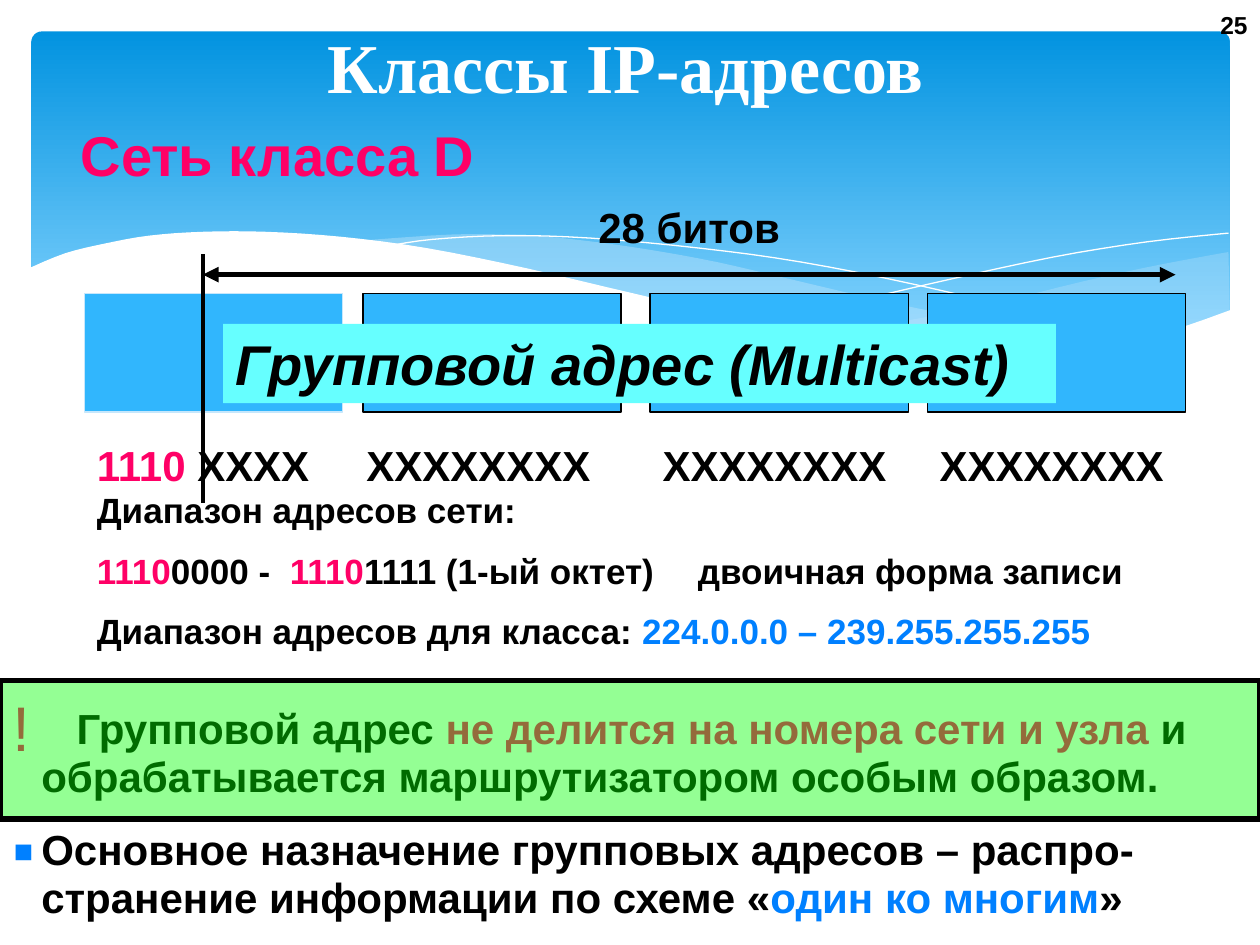
from lxml import etree
from pptx import Presentation
from pptx.dml.color import RGBColor
from pptx.enum.shapes import MSO_CONNECTOR, MSO_SHAPE
from pptx.enum.text import MSO_ANCHOR, PP_ALIGN
from pptx.oxml.ns import qn
from pptx.util import Inches, Pt

RECTANGLE = MSO_SHAPE.RECTANGLE
ROUNDED = MSO_SHAPE.ROUNDED_RECTANGLE
STRAIGHT = MSO_CONNECTOR.STRAIGHT
LEFT, CENTER, RIGHT = PP_ALIGN.LEFT, PP_ALIGN.CENTER, PP_ALIGN.RIGHT
TOP, MIDDLE = MSO_ANCHOR.TOP, MSO_ANCHOR.MIDDLE

BLACK = RGBColor(0x00, 0x00, 0x00)
WHITE = RGBColor(0xFF, 0xFF, 0xFF)
PINK = RGBColor(0xFF, 0x00, 0x66)
BLUE = RGBColor(0x00, 0x80, 0xFF)
SKY = RGBColor(0x31, 0xB6, 0xFD)
PALE = RGBColor(0xC6, 0xE7, 0xFC)
CYAN = RGBColor(0x66, 0xFF, 0xFF)
GREEN = RGBColor(0x00, 0xFF, 0x00)
SKY_TOP = RGBColor(0x02, 0x93, 0xE0)
SKY_BOTTOM = RGBColor(0x83, 0xD3, 0xFE)

COLUMNS, ROWS = 100, 75
CELL = Inches(10) / COLUMNS

WAVE_RIGHT = [[(97.5, 20), (92.1, 21), (86.1, 22.3), (77.9, 24.3), (70.6, 25.7), (66.1, 26.5)],
              [(66.1, 26.5), (71.8, 27.3), (76.9, 27.6), (81.4, 27.8), (86.3, 27.6),
               (90.5, 26.9), (94.2, 25.9), (97.6, 24.7)]]
WAVE_MIDDLE = [[(89.3, 27.3), (83.7, 26.5), (77.5, 25.4), (70.6, 24), (62.9, 22.2), (56.9, 20.8),
                (51.4, 19.8), (46.4, 19.1), (42, 18.7), (36.1, 18.6), (28.6, 19.1)],
               [(28.6, 19.1), (36.2, 20.3), (44.9, 22.2), (53, 24), (60.1, 25.5), (66.5, 26.6),
                (72.2, 27.4), (77.3, 27.8), (81.8, 27.9), (85.7, 27.7), (89.3, 27.3)]]
WAVE_FRONT = [[(97.7, 24.6), (93, 26.2), (87.5, 27.3), (80.9, 27.7), (74.4, 27.4), (66.8, 26.5),
               (57.9, 25), (50.3, 23.3), (41.8, 21.3), (33.9, 19.7), (27.1, 18.8), (21.1, 18.4),
               (16.1, 18.4), (11.9, 18.7), (8.5, 19.3), (5.2, 20.1), (2.3, 21.3)],
              [(2.3, 32.9), (97.7, 32.9)]]
CREST_LEFT = [[(30.9, 19.5), (34.3, 19), (40.1, 18.7), (46.9, 18.9), (55.6, 19.7), (63.6, 20.8),
               (72.7, 22.6), (83.1, 25.1), (90.7, 27.2)]]
CREST_RIGHT = [[(61.3, 25.7), (67.2, 24.1), (74.8, 22.3), (83.6, 20.4), (91, 19.2), (97.5, 18.5)]]


def place(box, x=0, y=0, width=None, height=None):
    width = box[2] if width is None else width
    height = box[3] if height is None else height
    return [round(value * CELL) for value in (box[0] + x, box[1] + y, width, height)]


def paint(shape, fill=None, line=None, width=0.75, alpha=None):
    shape.shadow.inherit = False
    if fill is None:
        shape.fill.background()
    else:
        shape.fill.solid()
        shape.fill.fore_color.rgb = fill
    if alpha:
        color = shape._element.spPr.find(qn("a:solidFill"))[0]
        etree.SubElement(color, qn("a:alpha"), val=str(alpha * 1000))
    if line is None:
        shape.line.fill.background()
    else:
        shape.line.color.rgb = line
        shape.line.width = Pt(width)
    return shape


def add_rectangle(slide, position, **style):
    return paint(slide.shapes.add_shape(RECTANGLE, *position), **style)


def smooth(points, steps=4):
    padded = [points[0], *points, points[-1]]
    curve = [points[0]]
    for a, b, c, d in zip(padded, padded[1:], padded[2:], padded[3:]):
        for step in range(1, steps + 1):
            t = step / steps
            curve.append(tuple(
                (2 * q + (r - p) * t + (2 * p - 5 * q + 4 * r - s) * t ** 2
                 + (3 * q - p - 3 * r + s) * t ** 3) / 2 for p, q, r, s in zip(a, b, c, d)))
    return curve


def add_wave(slide, box, edges, closed=True, **style):
    points = [place(box, *point)[:2] for edge in edges for point in smooth(edge)]
    builder = slide.shapes.build_freeform(*points[0])
    builder.add_line_segments(points[1:], close=closed)
    return paint(builder.convert_to_shape(), **style)


def write(frame, paragraphs, size=24, color=BLACK, font="Arial", align=LEFT, anchor=TOP,
          italic=False, spacing=None, before=0, after=0):
    frame.word_wrap = True
    frame.vertical_anchor = anchor
    for index, runs in enumerate(paragraphs):
        paragraph = frame.paragraphs[0] if index == 0 else frame.add_paragraph()
        paragraph.alignment = align
        paragraph.space_before = Pt(before if index else 0)
        paragraph.space_after = Pt(after)
        if spacing:
            paragraph.line_spacing = spacing
        for text, run_color in [(runs, color)] if isinstance(runs, str) else runs:
            run = paragraph.add_run()
            run.text = text
            run.font.name, run.font.size = font, Pt(size)
            run.font.bold, run.font.italic = True, italic
            run.font.color.rgb = run_color
    return frame


def add_text(slide, position, paragraphs, **style):
    return write(slide.shapes.add_textbox(*position).text_frame, paragraphs, **style)


def add_line(slide, start, end, width, arrows=False):
    connector = slide.shapes.add_connector(STRAIGHT, *start, *end)
    connector.line.color.rgb = BLACK
    connector.line.width = Pt(width)
    if arrows:
        line = connector.line._get_or_add_ln()
        for tag in ("a:headEnd", "a:tailEnd"):
            etree.SubElement(line, qn(tag), type="triangle")
    etree.SubElement(connector._element.spPr, qn("a:effectLst"))


def add_tab(paragraph, position):
    tabs = etree.SubElement(paragraph._p.get_or_add_pPr(), qn("a:tabLst"))
    etree.SubElement(tabs, qn("a:tab"), pos=str(Inches(position)), algn="l")


def add_bullet(paragraph, character, color):
    properties = paragraph._p.get_or_add_pPr()
    properties.set("marL", str(Inches(0.23)))
    properties.set("indent", str(-Inches(0.23)))
    bullet_color = etree.SubElement(properties, qn("a:buClr"))
    etree.SubElement(bullet_color, qn("a:srgbClr"), val=str(color))
    etree.SubElement(properties, qn("a:buSzPct"), val="150000")
    etree.SubElement(properties, qn("a:buFont"), typeface="Arial")
    etree.SubElement(properties, qn("a:buChar"), char=character)


def draw_backdrop(slide, box):
    panel = slide.shapes.add_shape(ROUNDED, *place(box, 2.5, 2.5, 95.1, 27))
    paint(panel, fill=SKY_TOP).adjustments[0] = 0.03
    panel.fill.gradient()
    panel.fill.gradient_angle = 270
    for stop, color, position in zip(panel.fill.gradient_stops, (SKY_TOP, SKY_BOTTOM), (0, 0.9)):
        stop.color.rgb = color
        stop.position = position
    add_wave(slide, box, WAVE_RIGHT, fill=PALE, alpha=29)
    add_wave(slide, box, WAVE_MIDDLE, fill=PALE, alpha=40)
    for crest in (CREST_LEFT, CREST_RIGHT):
        add_wave(slide, box, crest, closed=False, line=WHITE, width=0)
    add_wave(slide, box, WAVE_FRONT, fill=WHITE)


def draw_octets(slide, box):
    octets = [(0, 0, [("1110 ", PINK), ("XXXX", BLACK)]), (22.1, 21.4, "XXXXXXXX"),
              (44.9, 44.9, "XXXXXXXX"), (66.9, 66.9, "XXXXXXXX")]
    for index, (left, label_left, label) in enumerate(octets):
        add_rectangle(slide, place(box, left, 0, 20.5, 9.4), fill=SKY, line=BLACK if index else PALE)
        add_text(slide, place(box, label_left, 11.1, 20.5, 5), [label])


def draw_ranges(slide, box):
    frame = add_text(slide, place(box), [
        "Диапазон адресов сети:",
        [("1110", PINK), ("0000 -  ", BLACK), ("1110", PINK),
         ("1111 (1-ый октет)\tдвоичная форма записи", BLACK)],
        [("Диапазон адресов для класса: ", BLACK), ("224.0.0.0 – 239.255.255.255", BLUE)],
    ], size=20, before=10.5)
    add_tab(frame.paragraphs[1], 4.77)


def draw_heading(slide, box):
    add_text(slide, place(box, 2.1, 7.1, 33.9, 6.3), ["Сеть класса D"],
             size=32, color=PINK, align=CENTER)
    title = add_text(slide, place(box, height=7.2), ["Классы IP-адресов"], size=40, color=WHITE,
                     font="Times New Roman", align=CENTER, spacing=0.7)
    title.margin_top, title.margin_bottom = Inches(0.17), Inches(0.08)


def draw_span(slide, box):
    left, middle = place(box, 0, 6.3)[:2]
    right = place(box, box[2])[0]
    add_line(slide, (left, middle), (right, middle), 3, arrows=True)
    add_text(slide, place(box, 7.1, 0, 63, 5), ["28 битов"], align=CENTER)
    banner = add_rectangle(slide, place(box, 1.6, 10.2, 66.1, 6.3), fill=CYAN)
    write(banner.text_frame, ["Групповой адрес (Multicast)"], size=32, italic=True)
    add_line(slide, place(box, 0, 4.7)[:2], place(box, 0, box[3])[:2], 2)


def draw_notice(slide, box):
    frame = add_text(slide, place(box, 0, 1.6, height=18.6), [
        [("\tГрупповой адрес ", BLACK), ("не делится на номера сети и узла", PINK),
         (" и обрабатывается маршрутизатором особым образом.", BLACK)],
        [("Основное назначение групповых адресов – распро-странение информации по схеме «", BLACK),
         ("один ко многим", BLUE), ("»", BLACK)],
    ], spacing=0.95, after=14.4)
    for paragraph, character, color in zip(frame.paragraphs, "!▪", (PINK, BLUE)):
        add_bullet(paragraph, character, color)
    add_tab(frame.paragraphs[0], 0.51)


def draw_page_number(slide, box):
    add_text(slide, place(box), ["25"], size=14, align=RIGHT, anchor=MIDDLE)


def main():
    presentation = Presentation()
    presentation.slide_width = round(COLUMNS * CELL)
    presentation.slide_height = round(ROWS * CELL)
    slide = presentation.slides.add_slide(presentation.slide_layouts[6])
    draw_backdrop(slide, (0, 0, COLUMNS, ROWS))
    draw_octets(slide, (6.7, 23.3, 87.4, 16.1))
    draw_ranges(slide, (6.7, 38.3, 86, 14.3))
    draw_heading(slide, (3, 2, 93.3, 12))
    draw_span(slide, (16.1, 15.5, 77.2, 24.4))
    draw_notice(slide, (0, 54, COLUMNS, 21))
    draw_page_number(slide, (95.7, 0, 4.3, 4))
    add_rectangle(slide, place((0, 54, COLUMNS, 11)), fill=GREEN, line=BLACK, width=3, alpha=42)
    presentation.save("out.pptx")


if __name__ == "__main__":
    main()
